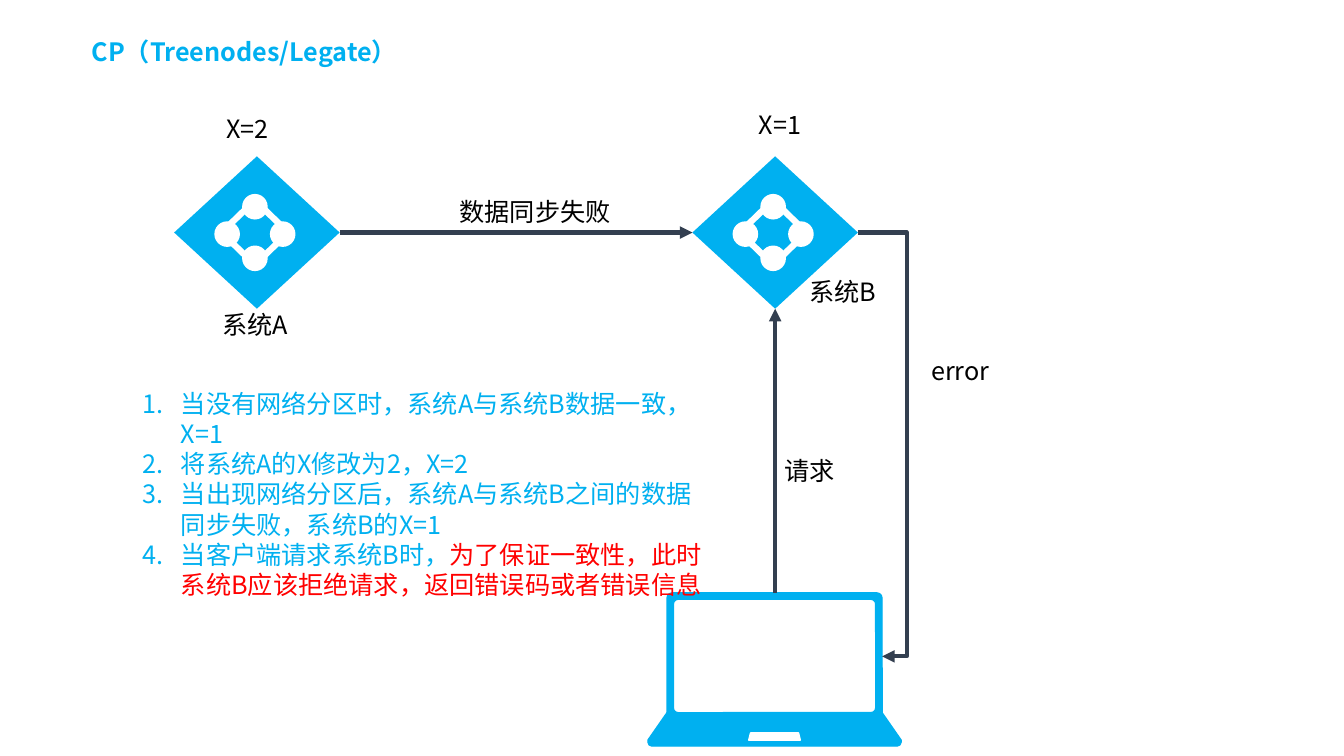
import pptx
import pptx.util
import pptx.dml.color
import pptx.enum.shapes
import pptx.enum.text
import pptx.oxml.ns
import lxml.etree

Cm = pptx.util.Cm
SHAPES = pptx.enum.shapes.MSO_SHAPE
CONNECTORS = pptx.enum.shapes.MSO_CONNECTOR
qn = pptx.oxml.ns.qn

FONT = "Noto Sans CJK SC"
BLUE, WHITE, BLACK, RED, SLATE = "00B0F0", "FFFFFF", "000000", "FF0000", "333F50"

SYSTEM_WIDTH, SYSTEM_HEIGHT = 4.17, 3.84
SYSTEM_A_LEFT, SYSTEM_B_LEFT, SYSTEM_TOP = 4.39, 17.45, 3.94
LAPTOP_LEFT, LAPTOP_TOP, LAPTOP_WIDTH, LAPTOP_HEIGHT = 16.33, 14.94, 6.38, 3.86

STEPS = [
    [("当没有网络分区时，系统A与系统B数据一致，X=1", BLUE)],
    [("将系统A的X修改为2，X=2", BLUE)],
    [("当出现网络分区后，系统A与系统B之间的数据同步失败，系统B的X=1", BLUE)],
    [("当客户端请求系统B时，", BLUE),
     ("为了保证一致性，此时系统B应该拒绝请求，返回错误码或者错误信息", RED)],
]
LABELS = [
    ("系统A", 5.36, 7.67, 2.8),
    ("系统B", 20.14, 6.83, 2.8),
    ("数据同步失败", 11.33, 4.83, 4.83),
    ("error", 23.22, 8.84, 4.83),
    ("请求", 19.51, 11.35, 4.83),
    ("X=1", 18.87, 2.64, 4.83),
    ("X=2", 5.46, 2.72, 4.83),
]


def color(value):
    return pptx.dml.color.RGBColor.from_string(value)


def paint(shape, fill=None, line=None, line_width=1):
    shape.shadow.inherit = False
    if fill:
        shape.fill.solid()
        shape.fill.fore_color.rgb = color(fill)
    else:
        shape.fill.background()
    if line:
        shape.line.color.rgb = color(line)
        shape.line.width = pptx.util.Pt(line_width)
    else:
        shape.line.fill.background()


def add_preset(shapes, preset, left, top, width, height, **style):
    shape = shapes.add_shape(preset, Cm(left), Cm(top), Cm(width), Cm(height))
    paint(shape, **style)
    return shape


def add_system(slide, left, top, width, height):
    """Blue diamond holding a ring of four linked nodes."""
    shapes = slide.shapes.add_group_shape().shapes
    add_preset(shapes, SHAPES.DIAMOND, left, top, width, height, fill=BLUE)
    center_x, center_y = left + width / 2 - 0.05, top + height / 2
    ring_width, ring_height, node = 1.68, 1.63, 0.61
    add_preset(shapes, SHAPES.DIAMOND, center_x - ring_width / 2, center_y - ring_height / 2,
               ring_width, ring_height, line=WHITE, line_width=4.5)
    for offset_x, offset_y in [(0, -0.65), (0, 0.65), (0.7, 0.04), (-0.7, 0.04)]:
        add_preset(shapes, SHAPES.OVAL, center_x + offset_x - node / 2,
                   center_y + offset_y - node / 2, node, node, fill=WHITE, line=WHITE)


def add_laptop(slide, left, top, width, height):
    shapes = slide.shapes.add_group_shape().shapes
    side, bezel, base_height = 0.48, 0.16, 0.84
    lid_width, lid_height = width - 2 * side, height - base_height
    lids = [(0, lid_height + 0.18, BLUE), (bezel, lid_height - bezel, WHITE)]
    for inset, lid_bottom, fill in lids:
        lid = add_preset(shapes, SHAPES.ROUNDED_RECTANGLE, left + side + inset, top + inset,
                         lid_width - 2 * inset, lid_bottom, fill=fill, line=BLUE)
        lid.adjustments[0] = 0.042

    bottom, right, base_top = top + height, left + width, top + lid_height
    outline = [(right - side, base_top), (right, bottom - 0.15), (right, bottom - 0.1),
               (right - 0.03, bottom - 0.03), (right - 0.1, bottom),
               (left + 0.1, bottom), (left + 0.03, bottom - 0.03),
               (left, bottom - 0.1), (left, bottom - 0.15)]
    builder = shapes.build_freeform(Cm(left + side), Cm(base_top))
    builder.add_line_segments([(Cm(x), Cm(y)) for x, y in outline], close=True)
    paint(builder.convert_to_shape(), fill=BLUE, line=BLUE)

    notch_width = 1.3
    add_preset(shapes, SHAPES.TRAPEZOID, left + (width - notch_width) / 2, bottom - 0.33,
               notch_width, 0.18, fill=WHITE, line=WHITE)


def add_arrow(slide, start, end, kind=CONNECTORS.STRAIGHT, bend=None):
    """Arrow from start to end; bend is the elbow's turn as a share of its width."""
    connector = slide.shapes.add_connector(kind, *(Cm(value) for value in start + end))
    connector.line.color.rgb = color(SLATE)
    connector.line.width = pptx.util.Pt(3)
    properties = connector._element.spPr
    lxml.etree.SubElement(connector.line._get_or_add_ln(), qn("a:tailEnd"), type="triangle")
    lxml.etree.SubElement(properties, qn("a:effectLst"))
    if bend is not None:
        guides = properties.find(qn("a:prstGeom")).get_or_add_avLst()
        lxml.etree.SubElement(guides, qn("a:gd"), name="adj1", fmla=f"val {round(bend * 100000)}")


def set_font(paragraph, font_color, bold=False):
    font = paragraph.font
    font.name, font.size, font.bold = FONT, pptx.util.Pt(18), bold
    font.color.rgb = color(font_color)
    defaults = paragraph._p.pPr.find(qn("a:defRPr"))
    lxml.etree.SubElement(defaults, qn("a:ea"), typeface=FONT)


def add_text_frame(slide, left, top, width, height):
    frame = slide.shapes.add_textbox(Cm(left), Cm(top), Cm(width), Cm(height)).text_frame
    frame.word_wrap = True
    frame.auto_size = pptx.enum.text.MSO_AUTO_SIZE.SHAPE_TO_FIT_TEXT
    return frame


def add_label(slide, text, left, top, width, font_color=BLACK, bold=False):
    paragraph = add_text_frame(slide, left, top, width, 1.03).paragraphs[0]
    paragraph.text = text
    set_font(paragraph, font_color, bold)


def add_steps(slide, left, top, width, height):
    frame = add_text_frame(slide, left, top, width, height)
    for index, runs in enumerate(STEPS):
        paragraph = frame.add_paragraph() if index else frame.paragraphs[0]
        set_font(paragraph, BLUE)
        properties = paragraph._p.pPr
        indent = Cm(0.96)
        properties.set("marL", str(indent))
        properties.set("indent", str(-indent))
        properties.insert(0, properties.makeelement(qn("a:buAutoNum"), {"type": "arabicPeriod"}))
        for text, run_color in runs:
            run = paragraph.add_run()
            run.text = text
            if run_color != BLUE:
                run.font.color.rgb = color(run_color)


def add_flow(slide):
    """Systems, client laptop and the arrows between them."""
    middle = SYSTEM_TOP + SYSTEM_HEIGHT / 2
    system_b_right = SYSTEM_B_LEFT + SYSTEM_WIDTH
    system_b_center = SYSTEM_B_LEFT + SYSTEM_WIDTH / 2
    lid_right = LAPTOP_LEFT + LAPTOP_WIDTH - 0.48
    for left in (SYSTEM_A_LEFT, SYSTEM_B_LEFT):
        add_system(slide, left, SYSTEM_TOP, SYSTEM_WIDTH, SYSTEM_HEIGHT)
    add_arrow(slide, (SYSTEM_A_LEFT + SYSTEM_WIDTH, middle), (SYSTEM_B_LEFT, middle))
    add_laptop(slide, LAPTOP_LEFT, LAPTOP_TOP, LAPTOP_WIDTH, LAPTOP_HEIGHT)
    add_arrow(slide, (system_b_center, LAPTOP_TOP),
              (system_b_center, SYSTEM_TOP + SYSTEM_HEIGHT))
    add_arrow(slide, (system_b_right, middle), (lid_right, LAPTOP_TOP + 1.6),
              CONNECTORS.ELBOW, bend=2.02)


def main():
    presentation = pptx.Presentation()
    presentation.slide_width, presentation.slide_height = Cm(33.87), Cm(19.05)
    slide = presentation.slides.add_slide(presentation.slide_layouts[6])
    add_flow(slide)
    for label in LABELS:
        add_label(slide, *label)
    add_steps(slide, 3.35, 9.65, 14.88, 5.64)
    add_label(slide, "CP（Treenodes/Legate）", 2.06, 0.79, 12.95, BLUE, bold=True)
    presentation.save("out.pptx")


if __name__ == "__main__":
    main()
